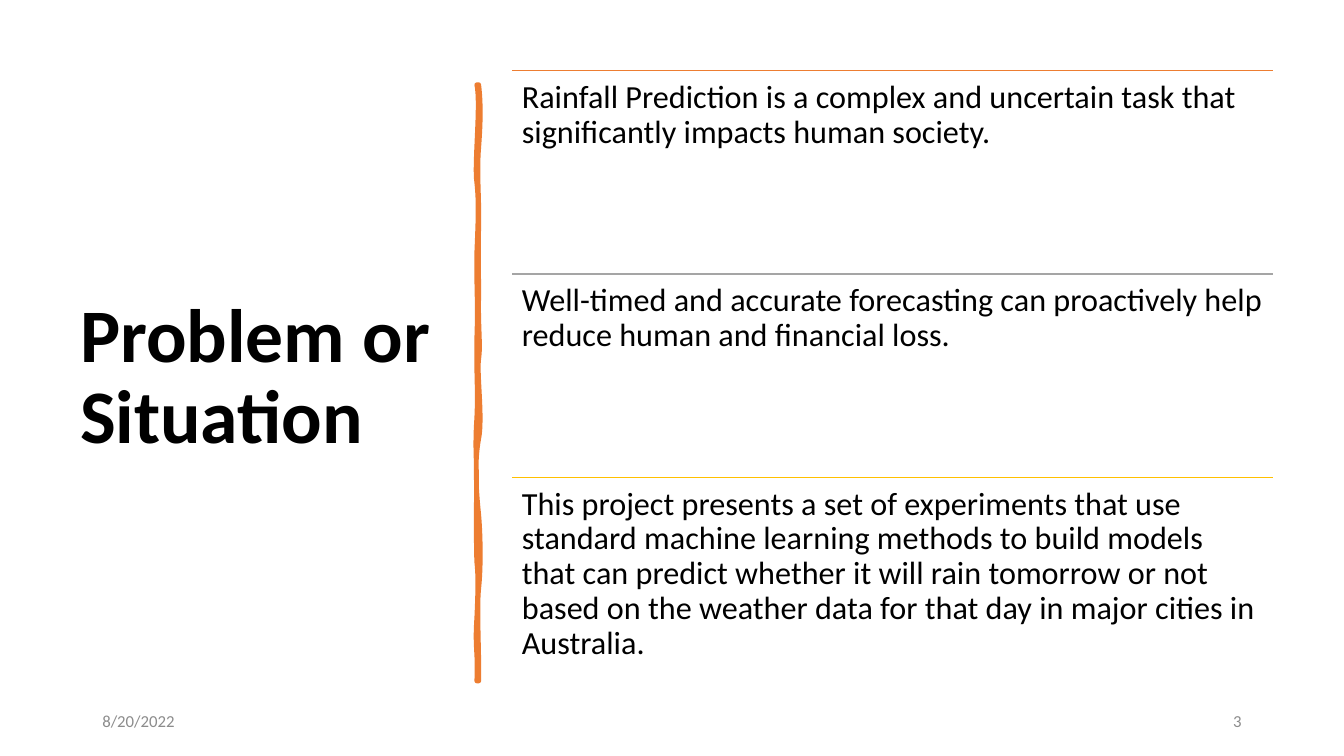
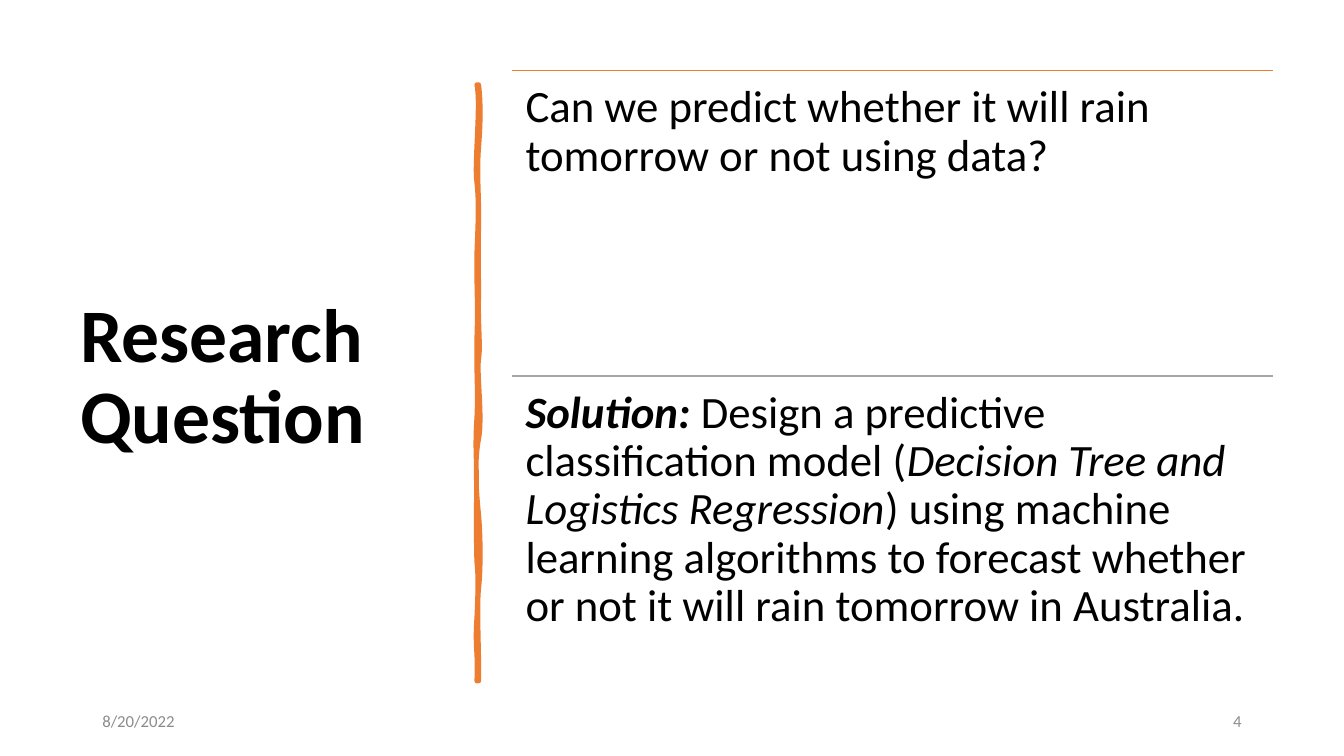
import lxml.etree
import pptx
import pptx.dml.color
import pptx.enum.shapes
import pptx.enum.text
import pptx.oxml
import pptx.oxml.ns
import pptx.util

Pt = pptx.util.Pt
RGBColor = pptx.dml.color.RGBColor
ALIGN = pptx.enum.text.PP_ALIGN
ANCHOR = pptx.enum.text.MSO_ANCHOR
qn = pptx.oxml.ns.qn

ORANGE = RGBColor(0xED, 0x7D, 0x31)
GRAY = RGBColor(0xA5, 0xA5, 0xA5)
GOLD = RGBColor(0xFF, 0xC0, 0x00)
BLACK = RGBColor(0, 0, 0)
FOOTER_GRAY = RGBColor(0x8C, 0x8C, 0x8C)
RULE_COLORS = [ORANGE, GRAY, GOLD]
FONT = "Calibri"

# Boxes in points: left, top, width, height
TITLE_BOX = (50, 50.4, 269.5, 440)
LIST_BOX = (365.75, 50.5, 543.6, 435.9)
DATE_BOX = (66, 500.5, 216, 28.75)
NUMBER_BOX = (678, 500.5, 216, 28.75)
STROKE_ORIGIN = (340.5, 60.5)

# Hand-drawn stroke: curves as (control, control, end), down one edge and up the other
STROKE_START = (1.5, 0)
STROKE_CURVES = [
    ((3, 13), (3, 25), (1.5, 45)),
    ((0, 64), (2, 80), (1.5, 102)),
    ((1, 125), (1.5, 128), (1.5, 151)),
    ((1, 174), (3, 186), (1.5, 196)),
    ((0, 206), (4.5, 238), (1.5, 253)),
    ((-1.5, 269), (-0.5, 288), (1.5, 307)),
    ((3, 325), (3, 346), (1.5, 360)),
    ((0, 374), (2, 408), (1.5, 426)),
    ((1, 426), (0.5, 426), (0, 426)),
    ((1, 405), (-1.5, 403), (0, 381)),
    ((1, 359), (1, 350), (0, 341)),
    ((-0.5, 331), (-0.5, 296), (0, 283)),
    ((0, 270), (-1.5, 260), (0, 238)),
    ((1, 217), (-0.5, 208), (0, 181)),
    ((1, 154), (-0.5, 142), (0, 120)),
    ((1, 96), (1.5, 84), (0, 70)),
    ((-2, 57), (3, 14), (0, 0)),
]

# Each item is a list of (text, bold, italic) spans
SLIDES = [
    dict(title="Problem or Situation", number="3", size=23, inset=7, items=[
        [("Rainfall Prediction is a complex and uncertain task that "
          "significantly impacts human society.", False, False)],
        [("Well-timed and accurate forecasting can proactively help "
          "reduce human and financial loss.", False, False)],
        [("This project presents a set of experiments that use standard "
          "machine learning methods to build models that can predict whether "
          "it will rain tomorrow or not based on the weather data for that "
          "day in major cities in Australia.", False, False)],
    ]),
    dict(title="Research Question", number="4", size=32, inset=9.6, items=[
        [("Can we predict whether it will rain tomorrow or not using data?",
          False, False)],
        [("Solution: ", True, True),
         ("Design a predictive classification model (", False, False),
         ("Decision Tree and Logistics Regression", False, True),
         (") using machine learning algorithms to forecast whether or not it "
          "will rain tomorrow in Australia.", False, False)],
    ]),
]


def style_span(span, size, color, bold=False, italic=False):
    font = span.font
    font.name, font.size = FONT, Pt(size)
    font.bold, font.italic = bold, italic
    font.color.rgb = color


def add_text(page, box, spans, size, color):
    """Add a one-paragraph text box and return its text frame."""
    frame = page.shapes.add_textbox(*map(Pt, box)).text_frame
    frame.word_wrap = True
    for text, bold, italic in spans:
        span = frame.paragraphs[0].add_run()
        span.text = text
        style_span(span, size, color, bold, italic)
    return frame


def add_title(page, box, text):
    title = page.shapes.title
    title.left, title.top, title.width, title.height = map(Pt, box)
    frame = title.text_frame
    frame.text = text
    frame.word_wrap = True
    frame.auto_size = pptx.enum.text.MSO_AUTO_SIZE.NONE
    frame.vertical_anchor = ANCHOR.MIDDLE
    para = frame.paragraphs[0]
    para.alignment, para.line_spacing = ALIGN.LEFT, 0.9
    style_span(para.runs[0], 54, BLACK, bold=True)


def bend_segments(shape, curves):
    """Turn the straight segments of an outline into cubic curves."""
    segments = list(shape._element.iter(qn("a:lnTo")))
    for segment, (first, second, _) in zip(segments, curves):
        segment.tag = qn("a:cubicBezTo")
        for index, (x, y) in enumerate((first, second)):
            control = lxml.etree.SubElement(
                segment, qn("a:pt"), x=str(int(Pt(x))), y=str(int(Pt(y))))
            segment.insert(index, control)


def add_stroke(page, origin):
    builder = page.shapes.build_freeform(*map(Pt, STROKE_START))
    builder.add_line_segments(
        [tuple(map(Pt, end)) for _, _, end in STROKE_CURVES])
    stroke = builder.convert_to_shape(*map(Pt, origin))
    bend_segments(stroke, STROKE_CURVES)
    stroke.shadow.inherit = False
    stroke.fill.solid()
    stroke.fill.fore_color.rgb = ORANGE
    stroke.line.color.rgb = ORANGE
    stroke.line.width = Pt(3.25)
    stroke.line._get_or_add_ln().append(pptx.oxml.parse_xml(
        "<a:round %s/>" % pptx.oxml.ns.nsdecls("a")))


def add_rule(page, left, top, width, color):
    rule = page.shapes.add_connector(
        pptx.enum.shapes.MSO_CONNECTOR.STRAIGHT,
        Pt(left), Pt(top), Pt(left + width), Pt(top))
    rule.line.color.rgb = color
    rule.line.width = Pt(1)
    rule._element.spPr.append(pptx.oxml.parse_xml(
        "<a:effectLst %s/>" % pptx.oxml.ns.nsdecls("a")))


def add_ruled_list(page, box, items, size, inset):
    """Split the box into equal rows, each under a coloured rule."""
    left, top, width, height = box
    row_height = height / len(items)
    for index, (spans, color) in enumerate(zip(items, RULE_COLORS)):
        row_top = top + index * row_height
        add_rule(page, left, row_top, width, color)
        frame = add_text(page, (left, row_top, width, row_height),
                         spans, size, BLACK)
        frame.margin_left = frame.margin_right = Pt(inset)
        frame.margin_top = frame.margin_bottom = Pt(inset)
        frame.paragraphs[0].line_spacing = 0.9


def add_footer(page, number):
    for box, text, alignment in ((DATE_BOX, "8/20/2022", ALIGN.LEFT),
                                 (NUMBER_BOX, number, ALIGN.RIGHT)):
        frame = add_text(page, box, [(text, False, False)], 12, FOOTER_GRAY)
        frame.vertical_anchor = ANCHOR.MIDDLE
        frame.paragraphs[0].alignment = alignment
        frame.paragraphs[0].space_after = Pt(6)


def add_list_slide(deck, title, number, size, inset, items):
    page = deck.slides.add_slide(deck.slide_layouts.get_by_name("Title Only"))
    add_title(page, TITLE_BOX, title)
    add_stroke(page, STROKE_ORIGIN)
    add_footer(page, number)
    add_ruled_list(page, LIST_BOX, items, size, inset)


def main():
    deck = pptx.Presentation()
    deck.slide_width, deck.slide_height = Pt(960), Pt(540)
    for content in SLIDES:
        add_list_slide(deck, **content)
    deck.save("out.pptx")


if __name__ == "__main__":
    main()
